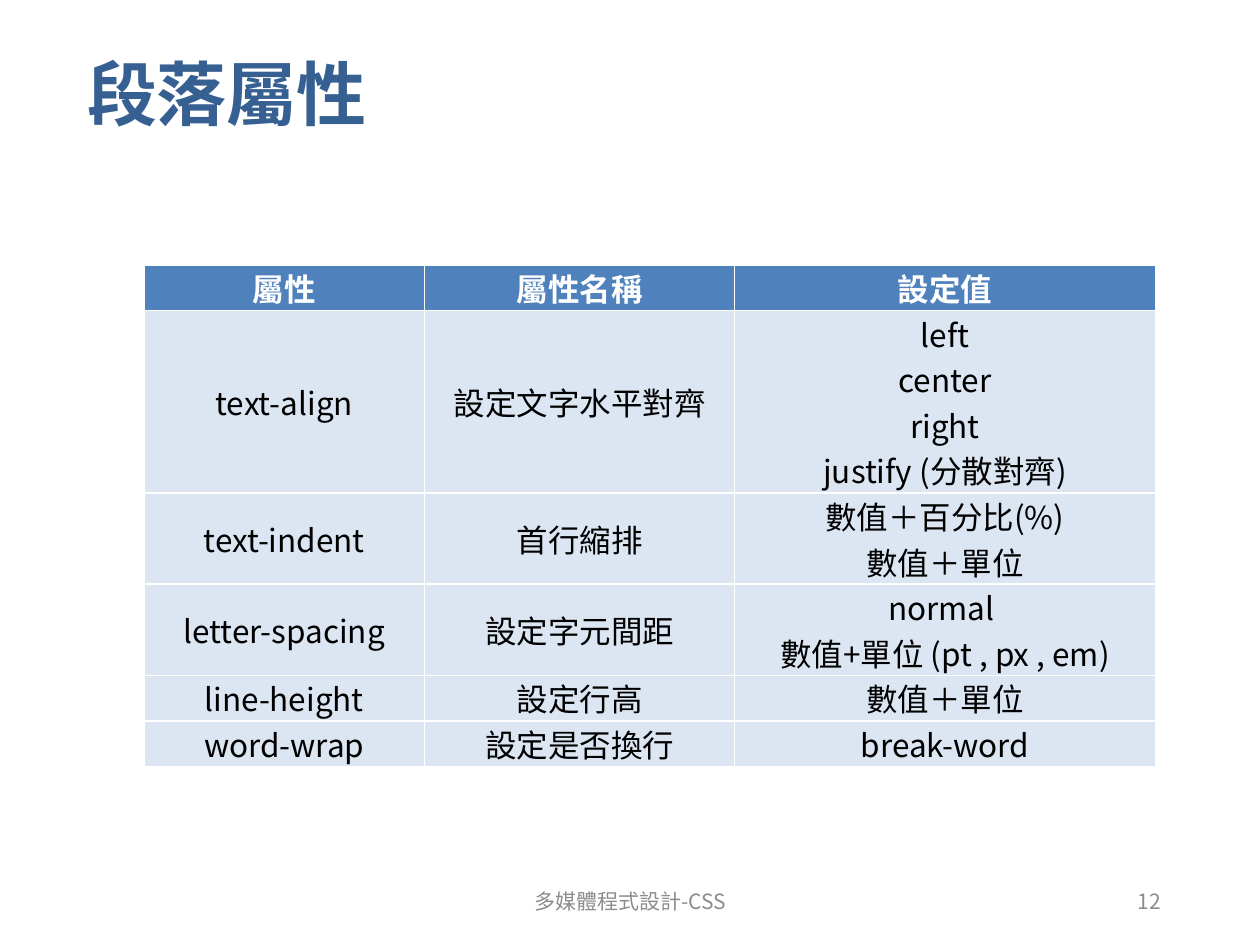
from dataclasses import dataclass
from lxml import etree
from pptx import Presentation
from pptx import util as u
from pptx.dml.color import RGBColor
from pptx.enum import text as t
from pptx.oxml import ns

SANS = "Noto Sans CJK KR"
WIDTHS = (5.66, 6.25, 8.48)
LINE = 0.86


@dataclass
class Style:
    size: int
    color: str
    bold: bool = False
    align: t.PP_ALIGN = t.PP_ALIGN.CENTER
    face: str = SANS


@dataclass
class Row:
    name: str
    use: str
    value: str
    lines: int = 1


@dataclass
class Note:
    words: str
    left: float
    width: float
    style: Style


HEAD = Style(18, "FFFFFF", True)
BODY = Style(18, "000000")
TITLE = Style(40, "376092", True, t.PP_ALIGN.LEFT, "Arial")

ROWS = [
    Row("屬性", "屬性名稱", "設定值"),
    Row("text-align", "設定文字水平對齊", "left\vcenter\vright\njustify (分散對齊)", 4),
    Row("text-indent", "首行縮排", "數值＋百分比(%)\n數值＋單位", 2),
    Row("letter-spacing", "設定字元間距", "normal \v數值+單位 (pt , px , em)", 2),
    Row("line-height", "設定行高", "數值＋單位"),
    Row("word-wrap", "設定是否換行", "break-word"),
]
NOTES = [
    Note("多媒體程式設計-CSS", 8.41, 8.59, Style(12, "8C8C8C")),
    Note("12", 17.93, 5.72, Style(12, "8C8C8C", align=t.PP_ALIGN.RIGHT)),
]


def rgb(code: str) -> RGBColor:
    return RGBColor.from_string(code)


def write(frame, words: str, style: Style) -> None:
    frame.text = words
    frame.word_wrap = True
    for para in frame.paragraphs:
        para.alignment = style.align
        font = para.font
        font.name = style.face
        font.size = u.Pt(style.size)
        font.bold = style.bold
        font.color.rgb = rgb(style.color)


def border(cell, code: str) -> None:
    props = cell._tc.get_or_add_tcPr()
    for spot, side in enumerate(("lnL", "lnR", "lnT", "lnB")):
        line = etree.Element(ns.qn(f"a:{side}"), w=str(u.Pt(1)))
        fill = etree.SubElement(line, ns.qn("a:solidFill"))
        etree.SubElement(fill, ns.qn("a:srgbClr"), val=code)
        props.insert(spot, line)


def paint(cell, words: str, style: Style, fill: str) -> None:
    write(cell.text_frame, words, style)
    cell.vertical_anchor = t.MSO_ANCHOR.MIDDLE
    cell.margin_left = cell.margin_right = u.Cm(0.18)
    cell.margin_top = cell.margin_bottom = 0
    cell.fill.solid()
    cell.fill.fore_color.rgb = rgb(fill)
    border(cell, "FFFFFF")


def add_grid(slide, rows: list[Row]) -> None:
    high = LINE * sum(row.lines for row in rows)
    grid = slide.shapes.add_table(
        len(rows), len(WIDTHS), u.Cm(2.9), u.Cm(5.34), u.Cm(sum(WIDTHS)), u.Cm(high)
    ).table
    for col, width in zip(grid.columns, WIDTHS):
        col.width = u.Cm(width)
    for i, row in enumerate(rows):
        grid.rows[i].height = u.Cm(LINE * row.lines)
        style, fill = (BODY, "DCE6F2") if i else (HEAD, "4F81BD")
        for j, words in enumerate((row.name, row.use, row.value)):
            paint(grid.cell(i, j), words, style, fill)


def add_note(slide, note: Note) -> None:
    box = slide.shapes.add_textbox(u.Cm(note.left), u.Cm(17.65), u.Cm(note.width), u.Cm(1.02))
    write(box.text_frame, note.words, note.style)
    box.text_frame.vertical_anchor = t.MSO_ANCHOR.MIDDLE


def main() -> None:
    deck = Presentation()
    deck.slide_width, deck.slide_height = u.Cm(25.4), u.Cm(19.05)
    slide = deck.slides.add_slide(deck.slide_layouts[5])
    title = slide.shapes.title
    title.left, title.top = u.Cm(1.5), u.Cm(0.13)
    title.width, title.height = u.Cm(22.15), u.Cm(3.48)
    write(title.text_frame, "段落屬性", TITLE)
    title.text_frame.vertical_anchor = t.MSO_ANCHOR.MIDDLE
    add_grid(slide, ROWS)
    for note in NOTES:
        add_note(slide, note)
    deck.save("out.pptx")


if __name__ == "__main__":
    main()
